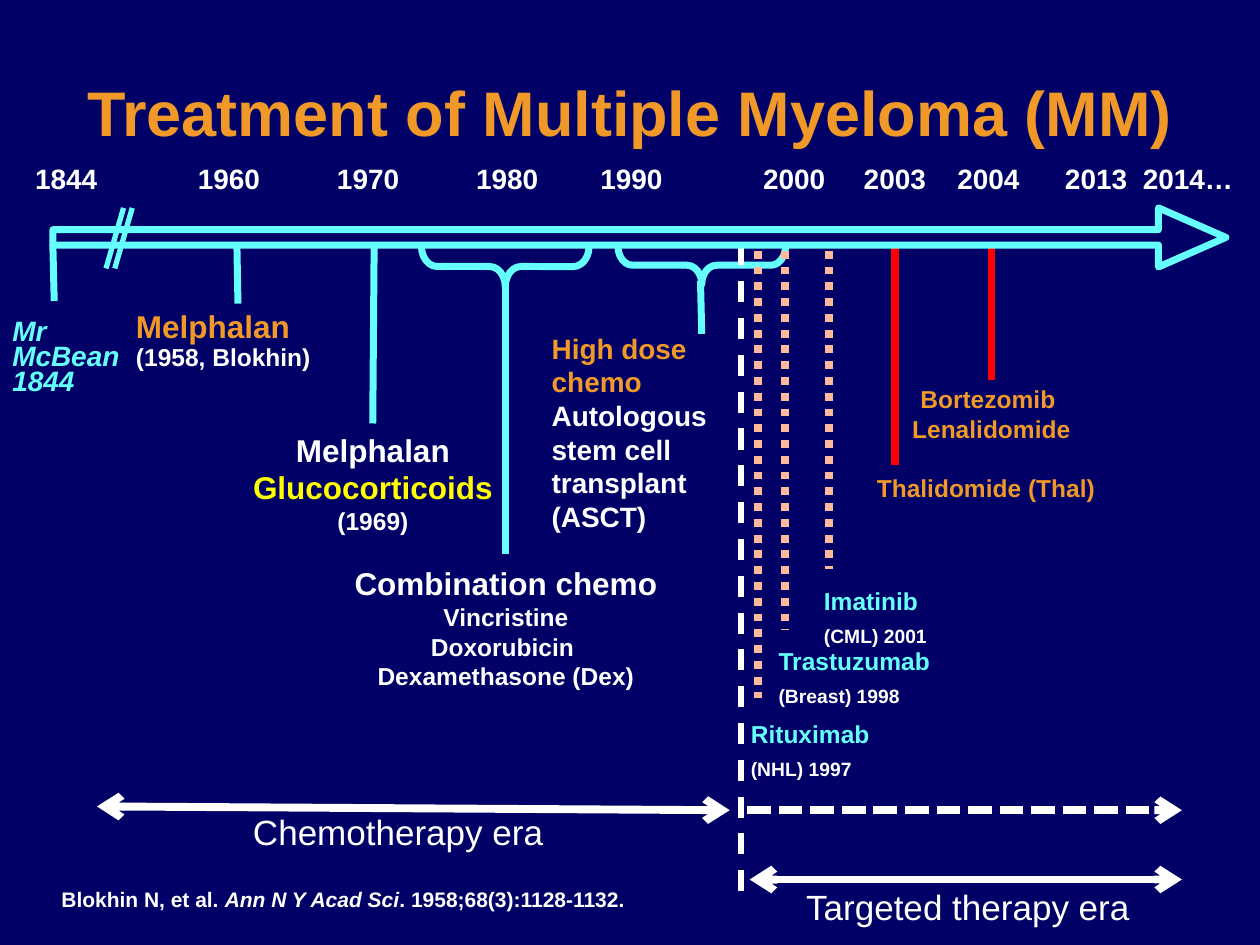
from lxml.etree import SubElement
from pptx import Presentation
from pptx.dml.color import RGBColor
from pptx.enum.dml import MSO_LINE_DASH_STYLE as Dash
from pptx.enum.shapes import MSO_CONNECTOR as Connector, MSO_SHAPE as Shape
from pptx.enum.text import PP_ALIGN as Align
from pptx.oxml.ns import qn
from pptx.util import Pt

NAVY, WHITE, CYAN, ORANGE = "000066", "FFFFFF", "66FFFF", "F09828"
YELLOW, RED, PEACH = "FFFF00", "FF0000", "FEB99A"

# Year labels and their tab stops, measured from the first year
YEARS = [("1844", 0), ("1960", 93), ("1970", 172.5), ("1980", 252),
         ("1990", 323), ("2000", 416), ("2003", 473.5), ("2004", 527),
         ("2013", 588.5), ("2014…", 633)]


def color(hex_string):
    return RGBColor.from_string(hex_string)


def add_text(page, place, rows, align=Align.LEFT, wrap=True, bold=True,
             italic=None, spacing=None, gap=0):
    """Add a text box; each row is (text, size, colour), text being a string
    or a list of (text, italic) spans. The gap stands between paragraphs."""
    box = page.shapes.add_textbox(*map(Pt, place))
    frame = box.text_frame
    frame.word_wrap = wrap
    for index, (text, size, fill) in enumerate(rows):
        para = frame.add_paragraph() if index else frame.paragraphs[0]
        para.alignment = align
        if spacing:
            para.line_spacing = spacing
        if index and gap:
            para.space_before = Pt(gap)
        if isinstance(text, str):
            para.text = text
        else:
            for words, slanted in text:
                span = para.add_run()
                span.text = words
                span.font.italic = slanted
        font = para.font
        font.name, font.size, font.bold = "Arial", Pt(size), bold
        font.italic = italic
        font.color.rgb = color(fill)
    return box


def add_years(page):
    box = add_text(page, (13, 88.5, 756, 27), [("", 16, WHITE)])
    para = box.text_frame.paragraphs[0]
    tabs = SubElement(para._p.get_or_add_pPr(), qn("a:tabLst"))
    for _, stop in YEARS[1:]:
        SubElement(tabs, qn("a:tab"), pos=str(Pt(stop)), algn="l")
    # The default run properties must follow the tab list
    tabs.getparent().insert(0, tabs)
    para.text = "\t".join(year for year, _ in YEARS)


def add_line(page, start, end, stroke, width, dash=None, arrows=()):
    line = page.shapes.add_connector(
        Connector.STRAIGHT, *map(Pt, (*start, *end)))
    line.line.color.rgb = color(stroke)
    line.line.width = Pt(width)
    if dash:
        line.line.dash_style = dash
    for tag in arrows:
        SubElement(line.line._get_or_add_ln(), qn(tag), type="arrow")
    SubElement(line._element.spPr, qn("a:effectLst"))


def add_outline(page, kind, place, adjustments, rotation=0):
    shape = page.shapes.add_shape(kind, *map(Pt, place))
    shape.shadow.inherit = False
    shape.rotation = rotation
    for index, value in enumerate(adjustments):
        shape.adjustments[index] = value
    shape.fill.background()
    shape.line.color.rgb = color(CYAN)
    shape.line.width = Pt(4)


def add_timeline(page):
    add_years(page)
    for start, end in [((30.2, 139.7), (31, 172)),
                       ((135.4, 141), (136, 173.5)),
                       ((213.8, 141), (213, 242)),
                       ((288.7, 163.5), (288.7, 316.8)),
                       ((400.3, 160.5), (401, 190.8))]:
        add_line(page, start, end, CYAN, 4)
    for x in (70.6, 75.6):
        add_line(page, (x, 118.8), (x - 10, 153.4), CYAN, 3)
    for place in [(277.2, 104.4, 23, 95.8), (390.2, 103.7, 21.6, 95.8)]:
        add_outline(page, Shape.RIGHT_BRACE, place, (0.39, 0.5), 90)


def add_chemotherapy(page):
    add_text(page, (70.6, 174.2, 114.5, 42.5),
             [("Melphalan", 18, ORANGE), ("(1958, Blokhin)", 14, WHITE)],
             wrap=False, spacing=0.9)
    add_text(page, (194.4, 319, 189.4, 80),
             [("Combination chemo", 18, WHITE), ("Vincristine", 14, WHITE),
              ("Doxorubicin ", 14, WHITE),
              ("Dexamethasone (Dex)", 14, WHITE)], Align.CENTER, wrap=False)
    add_text(page, (136.8, 242.6, 152.6, 67.7),
             [("Melphalan", 18, WHITE), ("Glucocorticoids", 18, YELLOW),
              ("(1969)", 14, WHITE)], Align.CENTER, wrap=False)
    add_text(page, (0, 180, 79.2, 51), [("Mr\vMcBean 1844", 16, CYAN)],
             italic=True, spacing=0.75)
    add_text(page, (308.2, 185.8, 108, 143.3),
             [("High dose \vchemo", 16, ORANGE),
              ("Autologous stem cell transplant (ASCT)", 16, WHITE)])


def add_targeted_therapy(page):
    for x, top, bottom in [(511.2, 141.8, 265.7), (566.6, 140.4, 217.4)]:
        add_line(page, (x, top), (x, bottom), RED, 4.5)
    add_text(page, (494, 267, 139.7, 41), [("Thalidomide (Thal)", 14, ORANGE)],
             wrap=False)
    add_text(page, (514, 216, 105, 41),
             [("Bortezomib ", 14, ORANGE), ("Lenalidomide", 14, ORANGE)],
             Align.CENTER, wrap=False)
    for x, bottom, place, drug, use in [
            (433.4, 398.9, (422, 407.5, 90.7, 43), "Rituximab", "(NHL) 1997"),
            (473.8, 325.4, (463.7, 331.2, 80.6, 43), "Imatinib", "(CML) 2001"),
            (448.6, 360, (437.8, 365.8, 106.6, 43),
             "Trastuzumab", "(Breast) 1998")]:
        add_line(page, (x, 143.3), (x, bottom), PEACH, 4.5, Dash.ROUND_DOT)
        add_text(page, place, [(drug, 14, CYAN), (use, 11, WHITE)], gap=5)


def add_eras(page):
    both_ends = ("a:headEnd", "a:tailEnd")
    add_line(page, (423.4, 139.7), (423.4, 514), WHITE, 3, Dash.DASH)
    add_line(page, (55.4, 460.8), (417, 463), WHITE, 4.5, arrows=both_ends)
    add_line(page, (427, 463), (675.4, 463), WHITE, 4.5, Dash.SQUARE_DOT,
             ("a:tailEnd",))
    add_line(page, (428.4, 502.6), (675.4, 502.6), WHITE, 4.5,
             arrows=both_ends)
    for place, era in [((137.5, 459.4, 185, 31.7), "Chemotherapy era"),
                       ((453.6, 502.6, 243.4, 31.7), "Targeted therapy era")]:
        add_text(page, place, [(era, 20, WHITE)], bold=False)


def main():
    deck = Presentation()
    deck.slide_width, deck.slide_height = Pt(720), Pt(540)
    page = deck.slides.add_slide(deck.slide_layouts[6])
    page.background.fill.solid()
    page.background.fill.fore_color.rgb = color(NAVY)

    add_text(page, (0, 38.2, 720, 51),
             [("Treatment of Multiple Myeloma (MM)", 36, ORANGE)],
             Align.CENTER)
    add_timeline(page)
    add_chemotherapy(page)
    add_targeted_therapy(page)
    add_eras(page)
    add_outline(page, Shape.RIGHT_ARROW, (30.2, 118.8, 670.3, 33.8),
                (0.26, 1.14))
    citation = [("Blokhin N, et al. ", False), ("Ann N Y Acad Sci", True),
                (". 1958;68(3):1128-1132.", False)]
    add_text(page, (28, 504.7, 339, 20.2), [(citation, 12, WHITE)],
             wrap=False, spacing=0.9)
    deck.save("out.pptx")


if __name__ == "__main__":
    main()
